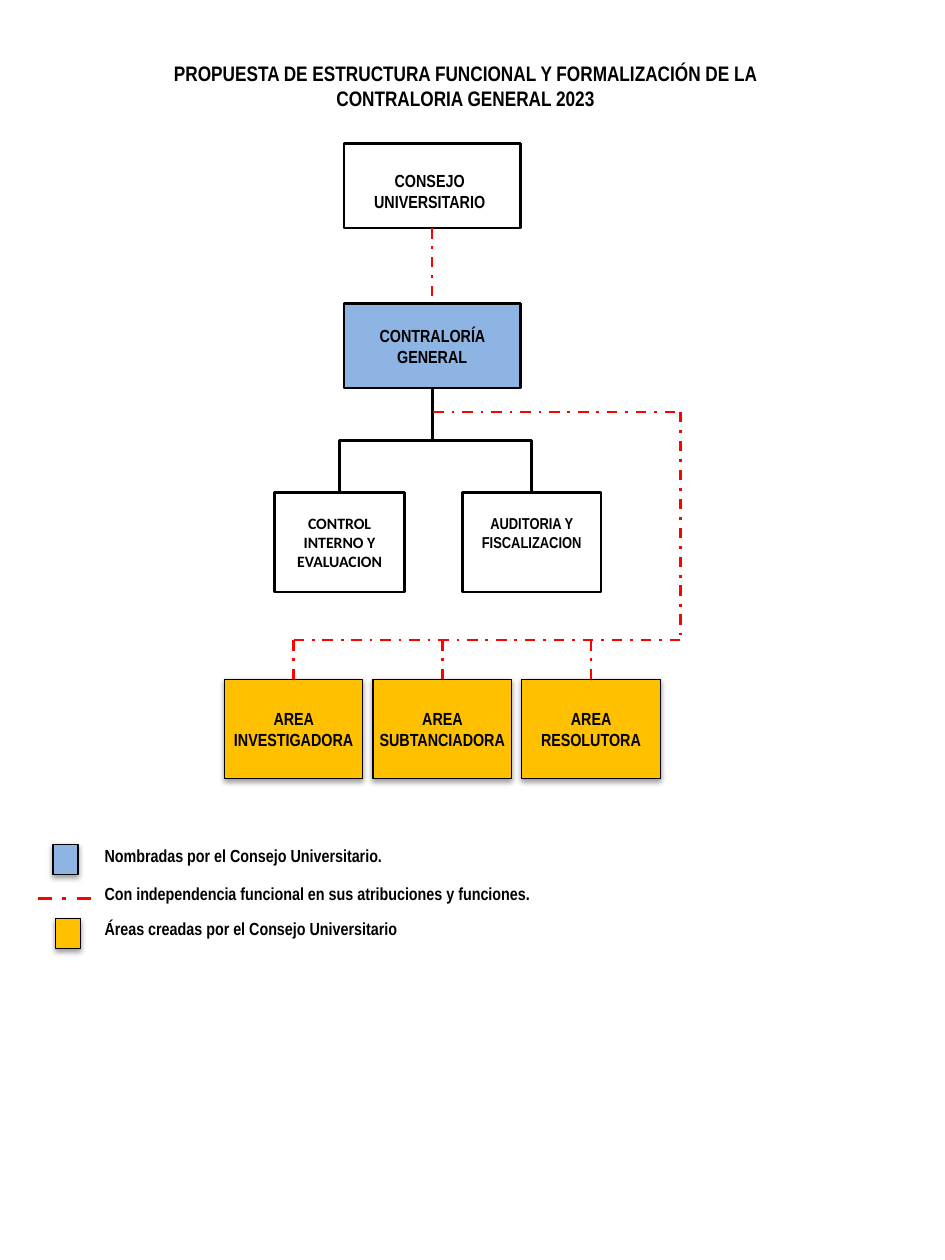
from dataclasses import dataclass

from lxml import etree
from pptx import Presentation
from pptx.dml.color import RGBColor
from pptx.enum.dml import MSO_LINE
from pptx.enum.shapes import MSO_CONNECTOR, MSO_SHAPE
from pptx.enum.text import MSO_ANCHOR, MSO_AUTO_SIZE, PP_ALIGN
from pptx.oxml.ns import qn
from pptx.util import Inches, Pt

RECT, PROCESS = MSO_SHAPE.RECTANGLE, MSO_SHAPE.FLOWCHART_PROCESS
STRAIGHT, ELBOW = MSO_CONNECTOR.STRAIGHT, MSO_CONNECTOR.ELBOW
TOP, MIDDLE = MSO_ANCHOR.TOP, MSO_ANCHOR.MIDDLE
LEFT, CENTER = PP_ALIGN.LEFT, PP_ALIGN.CENTER
DASH_DOT = MSO_LINE.DASH_DOT
NO_FIT, GROW = MSO_AUTO_SIZE.NONE, MSO_AUTO_SIZE.SHAPE_TO_FIT_TEXT

COLORS = {"black": "000000", "red": "FF0000", "blue": "8EB4E3", "amber": "FFC000"}
NARROW = "Arial Narrow"


@dataclass
class Box:
    x: float
    y: float
    w: float
    h: float
    text: str = ""
    fill: str = ""
    line: float = 1.5
    size: float = 10
    font: str = NARROW
    insets: tuple = (0.1, 0.17, 0.1, 0.05)
    anchor: int = TOP
    shape: int = RECT
    shadow: bool = False


@dataclass
class Legend:
    y: float
    w: float
    text: str


def rgb(name: str) -> RGBColor:
    return RGBColor.from_string(COLORS[name])


def write(sp, text: str, size: float, font: str = NARROW, align=CENTER,
          insets: tuple = (0.1, 0.05, 0.1, 0.05), anchor=TOP, fit=NO_FIT) -> None:
    tf = sp.text_frame
    tf.word_wrap, tf.auto_size, tf.vertical_anchor = True, fit, anchor
    tf.margin_left, tf.margin_top, tf.margin_right, tf.margin_bottom = map(Inches, insets)
    tf.text = text
    p = tf.paragraphs[0]
    p.alignment = align
    f = p.runs[0].font
    f.name, f.size, f.bold = font, Pt(size), True
    f.color.rgb = rgb("black")


def add_soft_shadow(sp) -> None:
    effects = sp._element.spPr.find(qn("a:effectLst"))
    shadow = etree.SubElement(effects, qn("a:outerShdw"), blurRad="40000", dist="20000",
                              dir="5400000", rotWithShape="0")
    color = etree.SubElement(shadow, qn("a:srgbClr"), val=COLORS["black"])
    etree.SubElement(color, qn("a:alpha"), val="38000")


def add_box(s, b: Box):
    sp = s.shapes.add_shape(b.shape, Inches(b.x), Inches(b.y), Inches(b.w), Inches(b.h))
    sp.shadow.inherit = False
    if b.fill:
        sp.fill.solid()
        sp.fill.fore_color.rgb = rgb(b.fill)
    else:
        sp.fill.background()
    sp.line.color.rgb = rgb("black")
    sp.line.width = Pt(b.line)
    if b.shadow:
        add_soft_shadow(sp)
    if b.text:
        write(sp, b.text, b.size, b.font, insets=b.insets, anchor=b.anchor)
    return sp


def add_line(s, x1: float, y1: float, x2: float, y2: float, color: str = "red",
             width: float = 1.5, kind=STRAIGHT):
    c = s.shapes.add_connector(kind, Inches(x1), Inches(y1), Inches(x2), Inches(y2))
    c.line.color.rgb = rgb(color)
    c.line.width = Pt(width)
    if color == "red":
        c.line.dash_style = DASH_DOT
    etree.SubElement(c._element.spPr, qn("a:effectLst"))
    return c


def add_branch(s, x1: float, y1: float, x2: float, y2: float) -> None:
    """Elbow that leaves downwards: the horizontal elbow, turned a quarter."""
    mx, my = (x1 + x2) / 2, (y1 + y2) / 2
    half_w, half_h = (y2 - y1) / 2, abs(x2 - x1) / 2
    side = 1 if x2 < x1 else -1
    c = add_line(s, mx - side * half_w, my - half_h, mx + side * half_w, my + half_h,
                 "black", kind=ELBOW)
    c._element.spPr.find(qn("a:xfrm")).set("rot", str((90 if side == 1 else 270) * 60000))


def main() -> None:
    prs = Presentation()
    prs.slide_width, prs.slide_height = Inches(7.5), Inches(10)
    s = prs.slides.add_slide(prs.slide_layouts[5])

    title = s.shapes.title
    title.left, title.top, title.width, title.height = map(Inches, (1.15, 0.43, 5.09, 0.63))
    write(title, "PROPUESTA DE ESTRUCTURA FUNCIONAL Y FORMALIZACIÓN DE LA "
                 "CONTRALORIA GENERAL 2023", 12)

    council = add_box(s, Box(2.73, 1.14, 1.4, 0.67, "CONSEJO UNIVERSITARIO", shape=PROCESS,
                             insets=(0.04, 0.21, 0.08, 0.04)))
    office = add_box(s, Box(2.73, 2.41, 1.4, 0.67, "CONTRALORÍA GENERAL", "blue"))
    link = add_line(s, 3.43, 1.81, 3.43, 2.41)
    link.begin_connect(council, 2)
    link.end_connect(office, 0)

    units = [
        Box(2.18, 3.91, 1.03, 0.79, "CONTROL INTERNO Y EVALUACION", size=9, font="Calibri"),
        Box(3.67, 3.91, 1.1, 0.79, "AUDITORIA Y FISCALIZACION", size=9),
    ]
    for unit in units:
        add_box(s, unit)
        add_branch(s, 3.43, 3.08, unit.x + unit.w / 2, unit.y)

    area_w, area_y, bus_y, bus_right = 1.1, 5.39, 5.08, 5.4
    area_x = [1.78 + 1.18 * i for i in range(3)]
    for x, name in zip(area_x, ("INVESTIGADORA", "SUBTANCIADORA", "RESOLUTORA")):
        area = add_box(s, Box(x, area_y, area_w, 0.79, f"AREA {name}", "amber", 0.75,
                              insets=(0, 0.07, 0, 0.07), anchor=MIDDLE, shadow=True))
        mid = x + area_w / 2
        add_line(s, mid, bus_y, mid, area_y).end_connect(area, 0)
    add_line(s, 3.44, 3.27, bus_right, 3.27)
    add_line(s, bus_right, 3.27, bus_right, bus_y)
    add_line(s, area_x[0] + area_w / 2, bus_y, bus_right, bus_y)

    add_box(s, Box(0.42, 6.7, 0.2, 0.24, fill="blue", line=0.75, shadow=True))
    add_line(s, 0.3, 7.13, 0.74, 7.13, width=2)
    add_box(s, Box(0.44, 7.29, 0.2, 0.24, fill="amber", line=0.75, shadow=True))
    for item in (
        Legend(6.62, 2.52, "Nombradas por el Consejo Universitario."),
        Legend(6.92, 3.86, "Con independencia funcional en sus atribuciones y funciones."),
        Legend(7.2, 2.76, "Áreas creadas por el Consejo Universitario"),
    ):
        tb = s.shapes.add_textbox(Inches(0.83), Inches(item.y), Inches(item.w), Inches(0.42))
        write(tb, item.text, 10, align=LEFT, insets=(0, 0.12, 0.25, 0.12), fit=GROW)

    prs.save("out.pptx")


if __name__ == "__main__":
    main()
